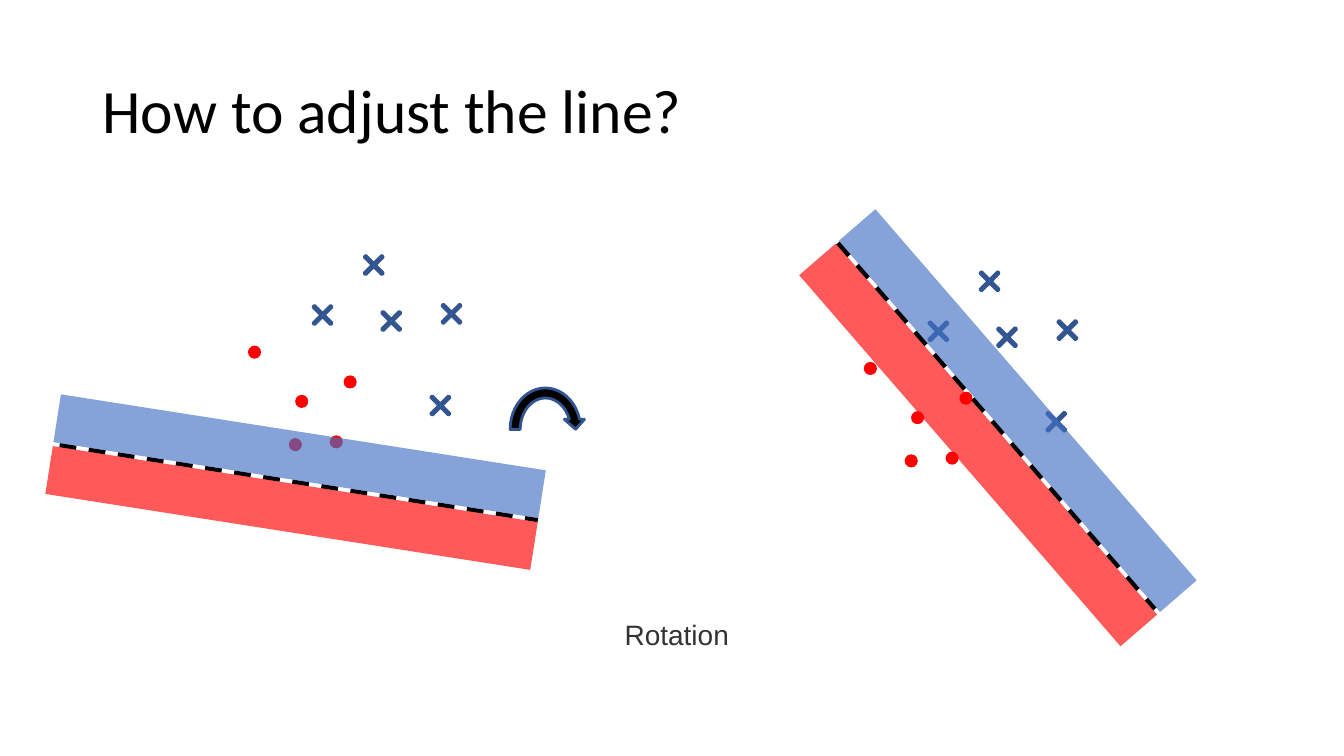
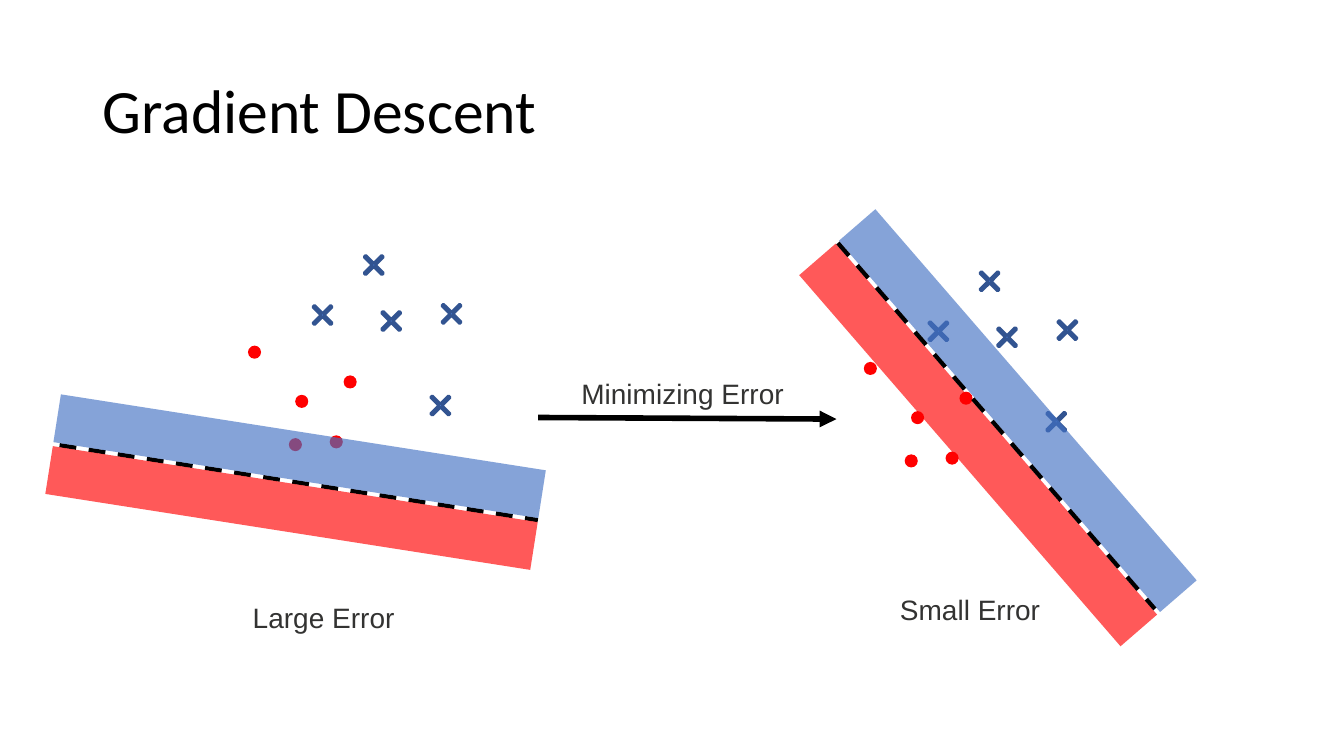
from dataclasses import dataclass
from math import cos, radians, sin

from lxml.etree import SubElement
from pptx import Presentation
from pptx.dml.color import RGBColor as RGB
from pptx.enum.dml import MSO_LINE as DASH
from pptx.enum.shapes import MSO_CONNECTOR as CONN, MSO_SHAPE as SHAPE
from pptx.enum.text import MSO_ANCHOR as ANCHOR, MSO_AUTO_SIZE as FIT, PP_ALIGN as ALIGN
from pptx.oxml.ns import qn
from pptx.util import Cm, Pt


@dataclass(frozen=True)
class Theme:
    black: RGB = RGB.from_string("000000")
    blue: RGB = RGB.from_string("4472C4")
    outline: RGB = RGB.from_string("325491")
    red: RGB = RGB.from_string("FF0000")
    caption: RGB = RGB.from_string("333332")
    title_font: str = "Calibri"
    title_size: Pt = Pt(44)
    caption_font: str = "Arial"
    caption_size: Pt = Pt(20)
    edge: Pt = Pt(2)
    dash_width: Pt = Pt(3)
    arrow_width: Pt = Pt(4)
    band_opacity: int = 65


T = Theme()

# Data points, in cm from the top left of the point cloud
CROSSES = [(2.74, 0), (3.18, 1.41), (4.7, 1.23), (4.42, 3.54), (1.45, 1.26)]
DOTS = [(2.41, 3.21), (0, 2.46), (2.06, 4.72), (1.03, 4.79), (1.19, 3.7)]
CROSS_SIZE, DOT_SIZE = 0.86, 0.33

# Classifier: two bands on either side of a dashed line, in cm
BAND_LENGTH, BAND_WIDTH, BAND_OFFSET = 12.37, 1.22, 0.66
LINE_LENGTH = 12.2

# Both panels: cloud origin, line centre within the cloud, tilt in degrees,
# shift of the dashed line along itself, and whether it lies over the bands
LARGE_ERROR = dict(origin=(6.25, 6.25), centre=(1.2, 5.9), tilt=8.9,
                   shift=0.08, line_on_top=False)
SMALL_ERROR = dict(origin=(21.77, 6.66), centre=(3.38, 4.12), tilt=49.1,
                   shift=-0.06, line_on_top=True)


def set_attrs(obj, formats):
    for name, value in formats.items():
        setattr(obj, name, value)


def write(tf, text, font, size, color, **paragraph):
    p = tf.paragraphs[0]
    set_attrs(p, paragraph)
    r = p.add_run()
    r.text = text
    set_attrs(r.font, dict(name=font, size=size, bold=False))
    r.font.color.rgb = color


def add_shape(slide, kind, box, fill, edge=None, adjust=(), opacity=100):
    sp = slide.shapes.add_shape(kind, *map(Cm, box))
    sp.shadow.inherit = False
    for i, value in enumerate(adjust):
        sp.adjustments[i] = value
    sp.fill.solid()
    sp.fill.fore_color.rgb = fill
    if opacity < 100:
        color = sp._element.spPr.find(qn("a:solidFill")).find(qn("a:srgbClr"))
        SubElement(color, qn("a:alpha")).set("val", str(opacity * 1000))
    if edge is None:
        sp.line.fill.background()
    else:
        sp.line.color.rgb = edge
        sp.line.width = T.edge
    return sp


def add_line(slide, start, end, width, dash=None, arrow=False):
    line = slide.shapes.add_connector(CONN.STRAIGHT, *map(Cm, (*start, *end)))
    line.line.color.rgb = T.black
    line.line.width = width
    if dash is not None:
        line.line.dash_style = dash
    if arrow:
        ln = line.line._get_or_add_ln()
        SubElement(ln, qn("a:tailEnd")).set("type", "triangle")
    SubElement(line._element.spPr, qn("a:effectLst"))


def add_title(slide, text):
    sp = slide.shapes.title
    set_attrs(sp, dict(left=Cm(2.33), top=Cm(1.01), width=Cm(29.21), height=Cm(3.68)))
    tf = sp.text_frame
    set_attrs(tf, dict(auto_size=FIT.NONE, word_wrap=True, vertical_anchor=ANCHOR.MIDDLE))
    write(tf, text, T.title_font, T.title_size, T.black,
          alignment=ALIGN.LEFT, line_spacing=0.9)


def add_caption(slide, text, left, top, width):
    tf = slide.shapes.add_textbox(*map(Cm, (left, top, width, 1.09))).text_frame
    tf.word_wrap = True
    write(tf, text, T.caption_font, T.caption_size, T.caption)


def add_points(slide, x, y):
    for dx, dy in CROSSES:
        add_shape(slide, SHAPE.MATH_MULTIPLY, (x + dx, y + dy, CROSS_SIZE, CROSS_SIZE),
                  T.blue, T.outline, adjust=[0.066])
    for dx, dy in DOTS:
        add_shape(slide, SHAPE.OVAL, (x + dx, y + dy, DOT_SIZE, DOT_SIZE), T.red)


def add_bands(slide, cx, cy, tilt):
    a = radians(tilt)
    for side, color in ((1, T.blue), (-1, T.red)):
        x = cx + side * BAND_OFFSET * sin(a) - BAND_LENGTH / 2
        y = cy - side * BAND_OFFSET * cos(a) - BAND_WIDTH / 2
        band = add_shape(slide, SHAPE.RECTANGLE, (x, y, BAND_LENGTH, BAND_WIDTH),
                         color, opacity=T.band_opacity)
        band.rotation = tilt


def add_divider(slide, cx, cy, tilt, shift):
    a = radians(tilt)
    start, end = ((cx + d * cos(a), cy + d * sin(a))
                  for d in (shift - LINE_LENGTH / 2, shift + LINE_LENGTH / 2))
    add_line(slide, start, end, T.dash_width, dash=DASH.DASH)


def add_panel(slide, origin, centre, tilt, shift, line_on_top):
    x, y = origin
    cx, cy = x + centre[0], y + centre[1]
    add_points(slide, x, y)
    if not line_on_top:
        add_divider(slide, cx, cy, tilt, shift)
    add_bands(slide, cx, cy, tilt)
    if line_on_top:
        add_divider(slide, cx, cy, tilt, shift)


def add_comparison(prs, title):
    slide = prs.slides.add_slide(prs.slide_layouts[5])
    add_title(slide, title)
    for panel in (LARGE_ERROR, SMALL_ERROR):
        add_panel(slide, **panel)
    return slide


def rotation_slide(prs):
    slide = add_comparison(prs, "How to adjust the line?")
    add_caption(slide, "Rotation", 15.49, 15.44, 4.01)
    # Turning arrow
    add_shape(slide, SHAPE.CIRCULAR_ARROW, (12.73, 9.65, 2.03, 2.34), T.black, T.outline,
              adjust=[0.125, 11.423, 204.577, 108, 0.125])


def descent_slide(prs):
    slide = add_comparison(prs, "Gradient Descent")
    add_caption(slide, "Large Error", 6.12, 15.01, 4.55)
    add_caption(slide, "Small Error", 22.43, 14.81, 4.55)
    # Step from large to small error
    add_line(slide, (13.56, 10.52), (21.08, 10.56), T.arrow_width, arrow=True)
    add_caption(slide, "Minimizing Error", 14.4, 9.37, 5.74)


def main():
    prs = Presentation()
    set_attrs(prs, dict(slide_width=Cm(33.87), slide_height=Cm(19.05)))
    rotation_slide(prs)
    descent_slide(prs)
    prs.save("out.pptx")


if __name__ == "__main__":
    main()
